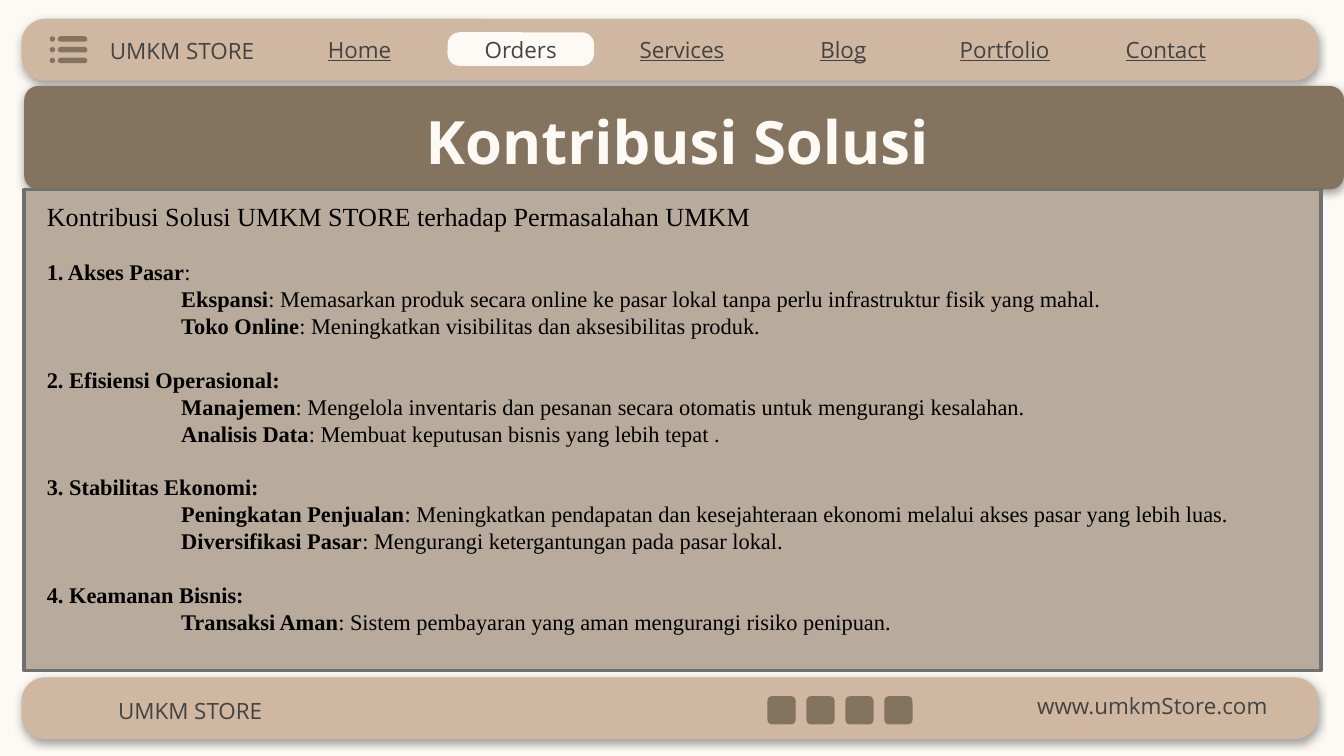
"""Build the UMKM STORE slide on solution contributions."""
from pptx import Presentation
from pptx.dml.color import RGBColor
from pptx.enum.shapes import MSO_SHAPE
from pptx.enum.text import MSO_ANCHOR, MSO_AUTO_SIZE, PP_ALIGN
from pptx.oxml import parse_xml
from pptx.oxml.ns import nsdecls
from pptx.util import Inches, Pt

SAND, BROWN, CREAM, GREY = "CFB7A1", "84735E", "FDFAF5", "434343"
ROUND, RECT, OVAL = MSO_SHAPE.ROUNDED_RECTANGLE, MSO_SHAPE.RECTANGLE, MSO_SHAPE.OVAL
SHADE = (
    f'<a:effectLst {nsdecls("a")}><a:outerShdw blurRad="57150" dist="19050" '
    'dir="5400000" algn="bl" rotWithShape="0"><a:srgbClr val="434343">'
    '<a:alpha val="50000"/></a:srgbClr></a:outerShdw></a:effectLst>'
)
tint = RGBColor.from_string


def draw(kind, place, fill=None, adj=None, shade=False):
    shape = slide.shapes.add_shape(kind, *map(Inches, place))
    shape.shadow.inherit = False
    shape.line.fill.background()
    if fill:
        shape.fill.solid()
        shape.fill.fore_color.rgb = tint(fill)
    else:
        shape.fill.background()
    if adj:
        shape.adjustments[0] = adj
    if shade:
        props = shape._element.spPr
        props.remove(props.find("{*}effectLst"))
        props.append(parse_xml(SHADE))
    return shape


def write(shape, text, align=PP_ALIGN.CENTER, color=GREY, **style):
    frame = shape.text_frame
    frame.auto_size = MSO_AUTO_SIZE.NONE
    form = {"word_wrap": True, "vertical_anchor": MSO_ANCHOR.MIDDLE}
    form |= {f"margin_{side}": Inches(0.1) for side in ("left", "right", "top", "bottom")}
    for key, value in form.items():
        setattr(frame, key, value)
    para = frame.paragraphs[0]
    para.alignment = align
    run = para.add_run()
    run.text = text
    for key, value in ({"name": "Open Sans", "size": Pt(12)} | style).items():
        setattr(run.font, key, value)
    run.font.color.rgb = tint(color)


deck = Presentation()
deck.slide_width = Inches(10)
deck.slide_height = Inches(10) * 9 // 16
slide = deck.slides.add_slide(deck.slide_layouts[5])
back = slide.background.fill
back.solid()
back.fore_color.rgb = tint(CREAM)

for top in (0.14, 5.04):
    draw(ROUND, (0.16, top, 9.65, 0.46), SAND, 0.385, True)
for row in range(3):
    top = 0.27 + 0.08 * row
    draw(ROUND, (0.43, top, 0.22, 0.04), BROWN, 0.5)
    draw(OVAL, (0.37, top, 0.04, 0.04), BROWN)

draw(ROUND, (0.18, 0.64, 9.82, 0.77), BROWN, 0.137, True)
title = slide.shapes.title
slide.shapes._spTree.append(title._element)
spot = {"left": 1.43, "top": 0.75, "width": 7.22, "height": 0.59}
for key, value in spot.items():
    setattr(title, key, Inches(value))
write(title, "Kontribusi Solusi", color=CREAM, size=Pt(32), bold=True)

tabs = ("Home", "Orders", "Services", "Blog", "Portfolio", "Contact")
for col, name in enumerate(tabs):
    live = name == "Orders"
    tab = draw(ROUND, (2.13 + 1.2 * col, 0.24, 1.09, 0.25), CREAM if live else None, 0.363)
    write(tab, name, underline=not live)

labels = [
    ((0.72, 0.26, 1.3, 0.23), "UMKM STORE", PP_ALIGN.LEFT),
    ((0.78, 5.18, 1.85, 0.21), "UMKM STORE", PP_ALIGN.LEFT),
    ((7.56, 5.17, 2.03, 0.16), "www.umkmStore.com", PP_ALIGN.CENTER),
]
for place, text, align in labels:
    write(slide.shapes.add_textbox(*map(Inches, place)), text, align)
for col in range(4):
    draw(ROUND, (5.71 + 0.29 * col, 5.18, 0.21, 0.21), BROWN, 0.16)

panel = draw(RECT, (0.18, 1.41, 9.65, 3.58), "B8AB9B")
panel.line.color.rgb = tint("707070")
panel.line.width = Pt(2)

lines = [
    (0, "", "Kontribusi Solusi UMKM STORE terhadap Permasalahan UMKM"),
    (0, "1. Akses Pasar", ":"),
    (1, "Ekspansi", ": Memasarkan produk secara online ke pasar lokal tanpa perlu "
     "infrastruktur fisik yang mahal."),
    (1, "Toko Online", ": Meningkatkan visibilitas dan aksesibilitas produk."),
    (0, "2. Efisiensi Operasional:", ""),
    (1, "Manajemen", ": Mengelola inventaris dan pesanan secara otomatis untuk "
     "mengurangi kesalahan."),
    (1, "Analisis Data", ": Membuat keputusan bisnis yang lebih tepat ."),
    (0, "3. Stabilitas Ekonomi:", ""),
    (1, "Peningkatan Penjualan", ": Meningkatkan pendapatan dan kesejahteraan ekonomi "
     "melalui akses pasar yang lebih luas."),
    (1, "Diversifikasi Pasar", ": Mengurangi ketergantungan pada pasar lokal."),
    (0, "4. Keamanan Bisnis:", ""),
    (1, "Transaksi Aman", ": Sistem pembayaran yang aman mengurangi risiko penipuan."),
]
body = slide.shapes.add_textbox(*map(Inches, (0.25, 1.44, 9.51, 3.74))).text_frame
body.word_wrap = True
for row, (level, head, rest) in enumerate(lines):
    para = body.paragraphs[0] if row == 0 else body.add_paragraph()
    if row:
        para.line_spacing = Pt(14.4)
        para.space_before = Pt(0 if level else 14.4)
    if level:
        para._p.get_or_add_pPr().set("marL", str(Inches(1)))
    for text, bold in ((head, True), (rest, False)):
        if text:
            run = para.add_run()
            run.text = text
            style = {"name": "Times New Roman", "size": Pt(12 if row else 14), "bold": bold}
            for key, value in style.items():
                setattr(run.font, key, value)
            run.font.color.rgb = tint("000000")

deck.save("out.pptx")
